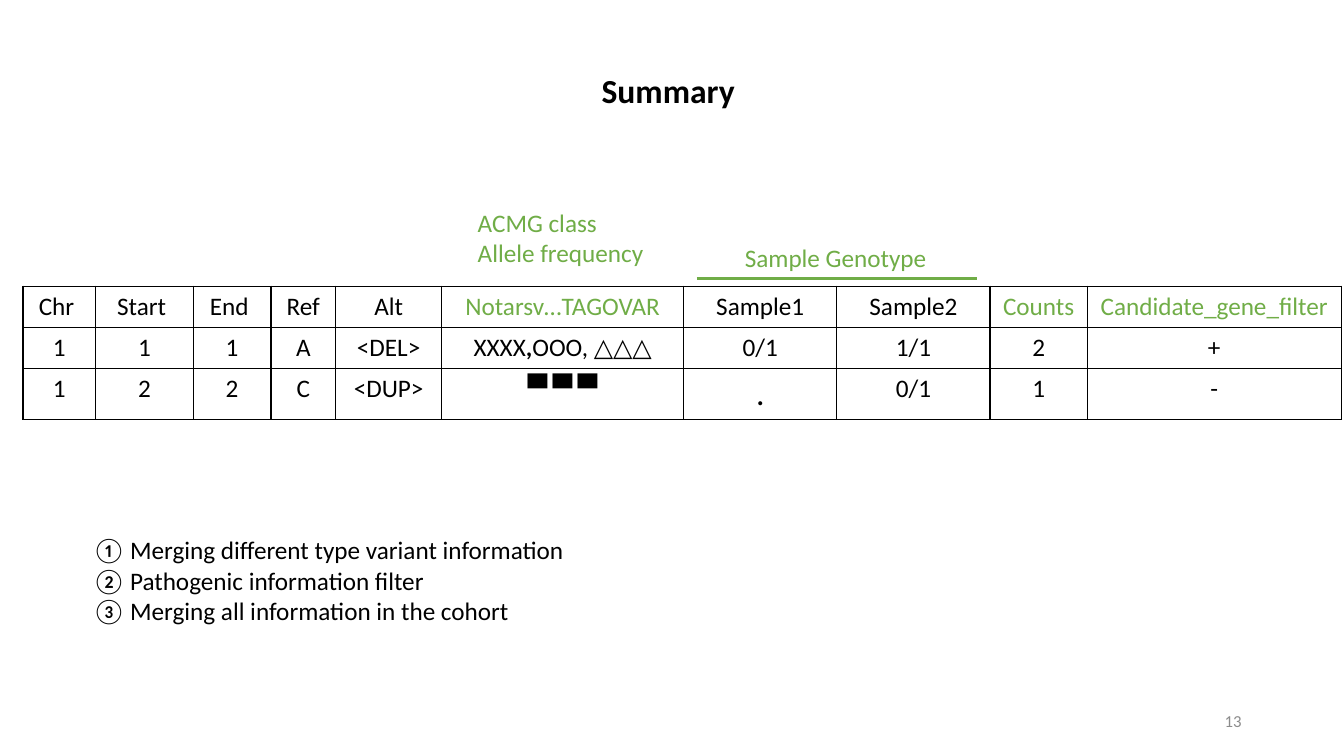
import pptx
import pptx.dml.color
import pptx.enum.shapes
import pptx.enum.text
import pptx.oxml.ns
import pptx.util
from lxml import etree

Cm = pptx.util.Cm
Pt = pptx.util.Pt
Align = pptx.enum.text.PP_ALIGN
Anchor = pptx.enum.text.MSO_ANCHOR

# Content
BLACK, GREEN, GREY = "000000", "70AD47", "8C8C8C"
FONT = "Calibri"
VARIANTS = [
    ["Chr ", "Start ", "End ", "Ref", "Alt", "Notarsv…TAGOVAR",
     "Sample1", "Sample2", "Counts", "Candidate_gene_filter"],
    ["1", "1", "1", "A", "<DEL>", ("XXXX", ",", "OOO, △△△"),
     "0/1", "1/1", "2", "+"],
    ["1", "2", "2", "C", "<DUP>", "▀ ▀ ▀", ".", "0/1", "1", "-"],
]
ADDED_HEADERS = {"Notarsv…TAGOVAR", "Counts", "Candidate_gene_filter"}
COLUMN_WIDTHS = [1.83, 2.46, 1.96, 1.63, 2.67, 6.1, 3.86, 3.86, 2.45, 6.4]
ROW_HEIGHTS = [1.04, 1.04, 1.27]
TABLE_LEFT, TABLE_TOP = 0.58, 7.21
GENOTYPE_LINE = (17.56, 7.01, 24.61, 7.01)
STEPS = [
    "Merging different type variant information",
    "Pathogenic information filter",
    "Merging all information in the cohort",
]
# lines, (left, top, width, height), size, colour, bold, alignment, anchor, wrap
LABELS = [
    (["Summary "], (0, 1.44, 33.87, 1.68), 24, BLACK, True,
     Align.CENTER, Anchor.MIDDLE, True),
    (["ACMG class", "Allele frequency"], (11.79, 5.09, 4.75, 1.8), 18, GREEN,
     False, Align.LEFT, Anchor.TOP, False),
    (["Sample Genotype"], (18.52, 5.99, 5.16, 1.02), 18, GREEN, False,
     Align.LEFT, Anchor.TOP, False),
    (["13"], (23.92, 17.65, 7.62, 1.02), 12, GREY, False,
     Align.RIGHT, Anchor.MIDDLE, True),
]
STEPS_LABEL = (STEPS, (2.08, 13.35, 12.55, 2.57), 18, BLACK, False,
               Align.LEFT, Anchor.TOP, False)


def color(target, value):
    target.rgb = pptx.dml.color.RGBColor.from_string(value)


def add_child(parent, tag, **attributes):
    child = etree.SubElement(parent, pptx.oxml.ns.qn(tag))
    for name, value in attributes.items():
        child.set(name, str(value))
    return child


def style(para, size, value, bold, alignment):
    para.alignment = alignment
    for span in para.runs:
        span.font.name = FONT
        span.font.size = Pt(size)
        span.font.bold = bold
        color(span.font.color, value)


def add_label(page, lines, place, size, value, bold, alignment, anchor, wrap):
    box = page.shapes.add_textbox(*map(Cm, place))
    frame = box.text_frame
    frame.word_wrap = wrap
    frame.vertical_anchor = anchor
    frame.text = "\n".join(lines)
    for para in frame.paragraphs:
        style(para, size, value, bold, alignment)
    return box


def number_lines(box):
    indent = Cm(0.95)
    for para in box.text_frame.paragraphs:
        properties = para._p.get_or_add_pPr()
        properties.set("marL", str(indent))
        properties.set("indent", str(-indent))
        add_child(properties, "a:buFont", typeface="+mj-ea")
        add_child(properties, "a:buAutoNum", type="circleNumWdWhitePlain")


def add_borders(cell):
    properties = cell._tc.get_or_add_tcPr()
    for side in ("a:lnL", "a:lnR", "a:lnT", "a:lnB"):
        border = add_child(properties, side, w=Pt(1))
        add_child(add_child(border, "a:solidFill"), "a:srgbClr", val=BLACK)


def fill_cell(cell, content):
    para = cell.text_frame.paragraphs[0]
    for part in content if isinstance(content, tuple) else (content,):
        para.add_run().text = part
    size = 24 if content == "." else 18
    style(para, size, GREEN if content in ADDED_HEADERS else BLACK,
          False, Align.CENTER)
    for span in para.runs:
        span.font.bold = span.text == ","
    add_borders(cell)
    cell.fill.background()


def add_variant_table(page):
    table = page.shapes.add_table(
        len(VARIANTS), len(COLUMN_WIDTHS), Cm(TABLE_LEFT), Cm(TABLE_TOP),
        Cm(sum(COLUMN_WIDTHS)), Cm(sum(ROW_HEIGHTS))).table
    table.first_row = False
    table.horz_banding = False
    for column, width in zip(table.columns, COLUMN_WIDTHS):
        column.width = Cm(width)
    for row, height, contents in zip(table.rows, ROW_HEIGHTS, VARIANTS):
        row.height = Cm(height)
        for cell, content in zip(row.cells, contents):
            fill_cell(cell, content)


def add_genotype_line(page):
    line = page.shapes.add_connector(
        pptx.enum.shapes.MSO_CONNECTOR.STRAIGHT, *map(Cm, GENOTYPE_LINE))
    color(line.line.color, GREEN)
    line.line.width = Pt(2.25)
    add_child(line._element.spPr, "a:effectLst")


def main():
    deck = pptx.Presentation()
    deck.slide_width, deck.slide_height = Cm(33.87), Cm(19.05)
    page = deck.slides.add_slide(deck.slide_layouts[6])

    # Table and the mark above its sample columns
    add_variant_table(page)
    add_genotype_line(page)

    # Title, captions, page number and numbered steps
    for label in LABELS:
        add_label(page, *label)
    number_lines(add_label(page, *STEPS_LABEL))

    deck.save("out.pptx")


if __name__ == "__main__":
    main()
